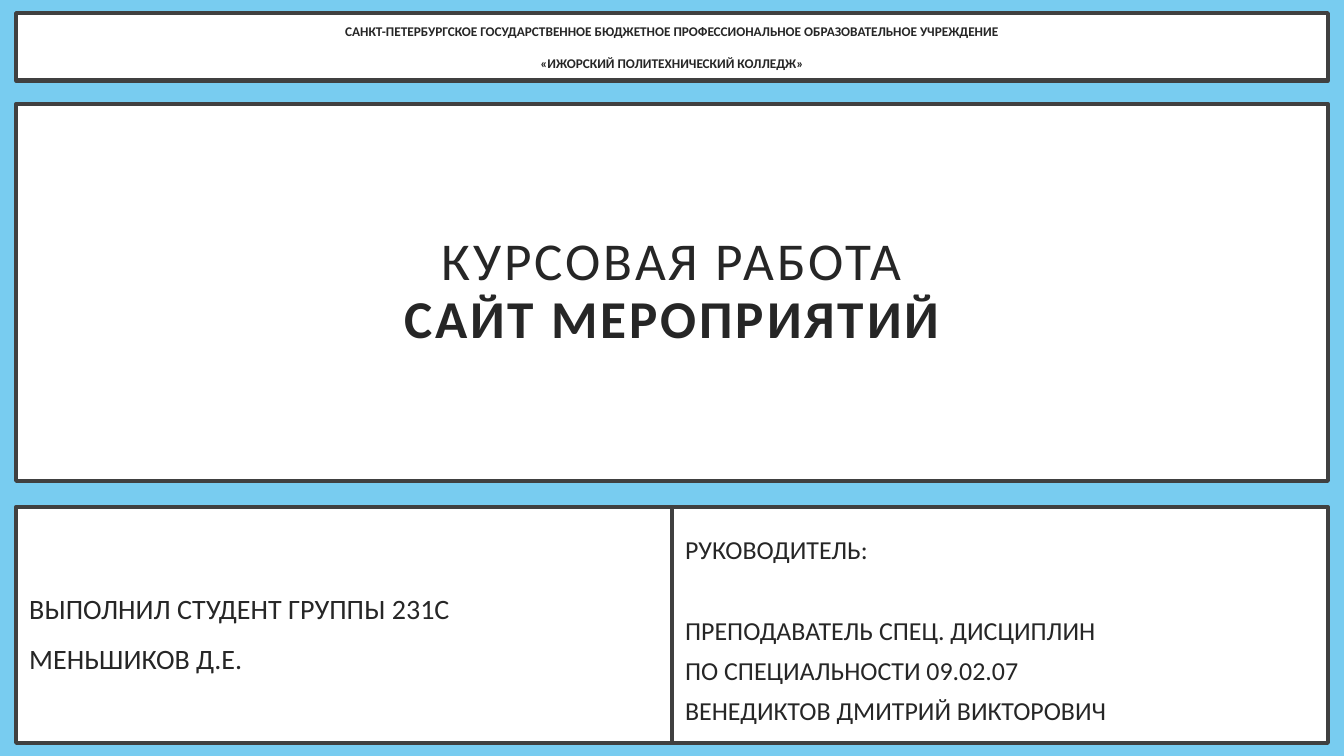
from pptx import Presentation
from pptx import util as u
from pptx.dml.color import RGBColor
from pptx.enum import shapes, text

WIDTH, HEIGHT = 13.33, 7.5
SKY, WHITE, FRAME, INK = "78CCF0", "FFFFFF", "404040", "262626"
MARGIN = 0.16
FULL = WIDTH - 2 * MARGIN
HALF = FULL / 2
WIDE_INSETS, EVEN_INSETS = (0.3, 0.2), (0.13, 0.13)
CENTER, LEFT = text.PP_ALIGN.CENTER, text.PP_ALIGN.LEFT

TITLE = [("КУРСОВАЯ РАБОТА", False, 0), ("САЙТ МЕРОПРИЯТИЙ", True, 0)]
COLLEGE = [
    ("САНКТ-ПЕТЕРБУРГСКОЕ ГОСУДАРСТВЕННОЕ БЮДЖЕТНОЕ ПРОФЕССИОНАЛЬНОЕ ОБРАЗОВАТЕЛЬНОЕ УЧРЕЖДЕНИЕ", True, 0),
    ("«ИЖОРСКИЙ ПОЛИТЕХНИЧЕСКИЙ КОЛЛЕДЖ»", True, 11.5),
]
SUPERVISOR = [
    ("РУКОВОДИТЕЛЬ:", False, 0),
    ("ПРЕПОДАВАТЕЛЬ СПЕЦ. ДИСЦИПЛИН", False, 29),
    ("ПО СПЕЦИАЛЬНОСТИ 09.02.07", False, 0),
    ("ВЕНЕДИКТОВ ДМИТРИЙ ВИКТОРОВИЧ", False, 0),
]
STUDENT = [("ВЫПОЛНИЛ СТУДЕНТ ГРУППЫ 231С", False, 0), ("МЕНЬШИКОВ Д.Е.", False, 0)]

PANELS = [
    ("title", TITLE, (MARGIN, 1.03, FULL, 3.74), WIDE_INSETS, 38, 0.9, CENTER, 2),
    ("subtitle", COLLEGE, (MARGIN, 0.13, FULL, 0.67), WIDE_INSETS, 9.5, 1.0, CENTER, 0),
    ("box", SUPERVISOR, (MARGIN + HALF, 5.03, HALF, 2.34), EVEN_INSETS, 18.5, 1.3, LEFT, 0),
    ("box", STUDENT, (MARGIN, 5.03, HALF, 2.34), EVEN_INSETS, 20, 1.5, LEFT, 0),
]


def color(value):
    return RGBColor.from_string(value)


def apply(target, values):
    for name, value in values.items():
        setattr(target, name, value)


def get_shape(slide, kind):
    if kind == "title":
        return slide.shapes.title
    if kind == "subtitle":
        return slide.placeholders[1]
    shape = slide.shapes.add_shape(shapes.MSO_SHAPE.RECTANGLE, 0, 0, 0, 0)
    shape.shadow.inherit = False
    return shape


def add_panel(slide, kind, lines, place, insets, size, spacing, alignment, tracking):
    shape = get_shape(slide, kind)
    apply(shape, dict(zip(("left", "top", "width", "height"), map(u.Inches, place))))
    shape.fill.solid()
    shape.fill.fore_color.rgb = color(WHITE)
    shape.line.color.rgb = color(FRAME)
    shape.line.width = u.Pt(3)
    side, end = map(u.Inches, insets)
    frame = shape.text_frame
    apply(frame, {
        "margin_left": side, "margin_right": side, "margin_top": end, "margin_bottom": end,
        "word_wrap": True, "auto_size": text.MSO_AUTO_SIZE.NONE,
        "vertical_anchor": text.MSO_ANCHOR.MIDDLE,
    })
    for index, (words, bold, gap) in enumerate(lines):
        paragraph = frame.add_paragraph() if index else frame.paragraphs[0]
        apply(paragraph, {"alignment": alignment, "line_spacing": spacing,
                          "space_before": u.Pt(gap), "space_after": u.Pt(0)})
        run = paragraph.add_run()
        run.text = words
        apply(run.font, {"name": "Calibri", "size": u.Pt(size), "bold": bold})
        run.font.color.rgb = color(INK)
        if tracking:
            run.font._element.set("spc", str(tracking * 100))


def main():
    presentation = Presentation()
    presentation.slide_width = u.Inches(WIDTH)
    presentation.slide_height = u.Inches(HEIGHT)
    slide = presentation.slides.add_slide(presentation.slide_layouts[0])
    slide.background.fill.solid()
    slide.background.fill.fore_color.rgb = color(SKY)
    for panel in PANELS:
        add_panel(slide, *panel)
    presentation.save("out.pptx")


if __name__ == "__main__":
    main()
